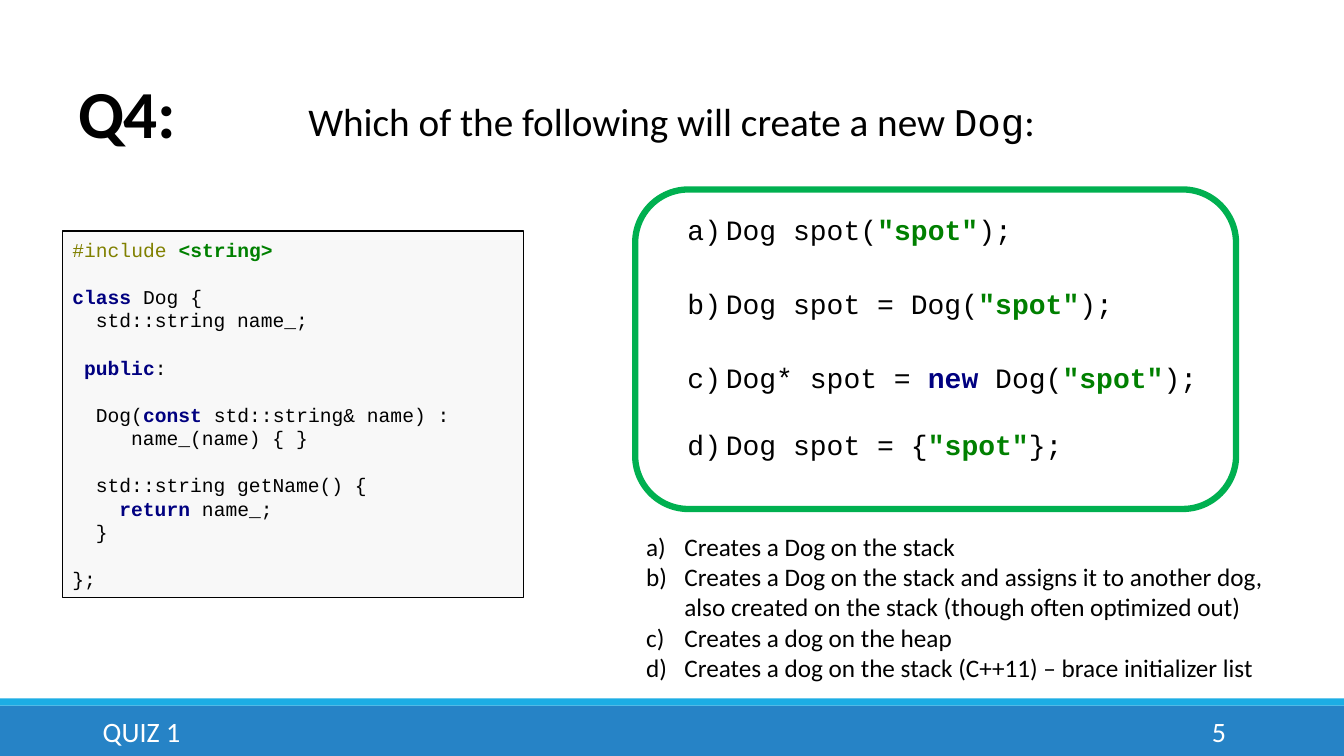
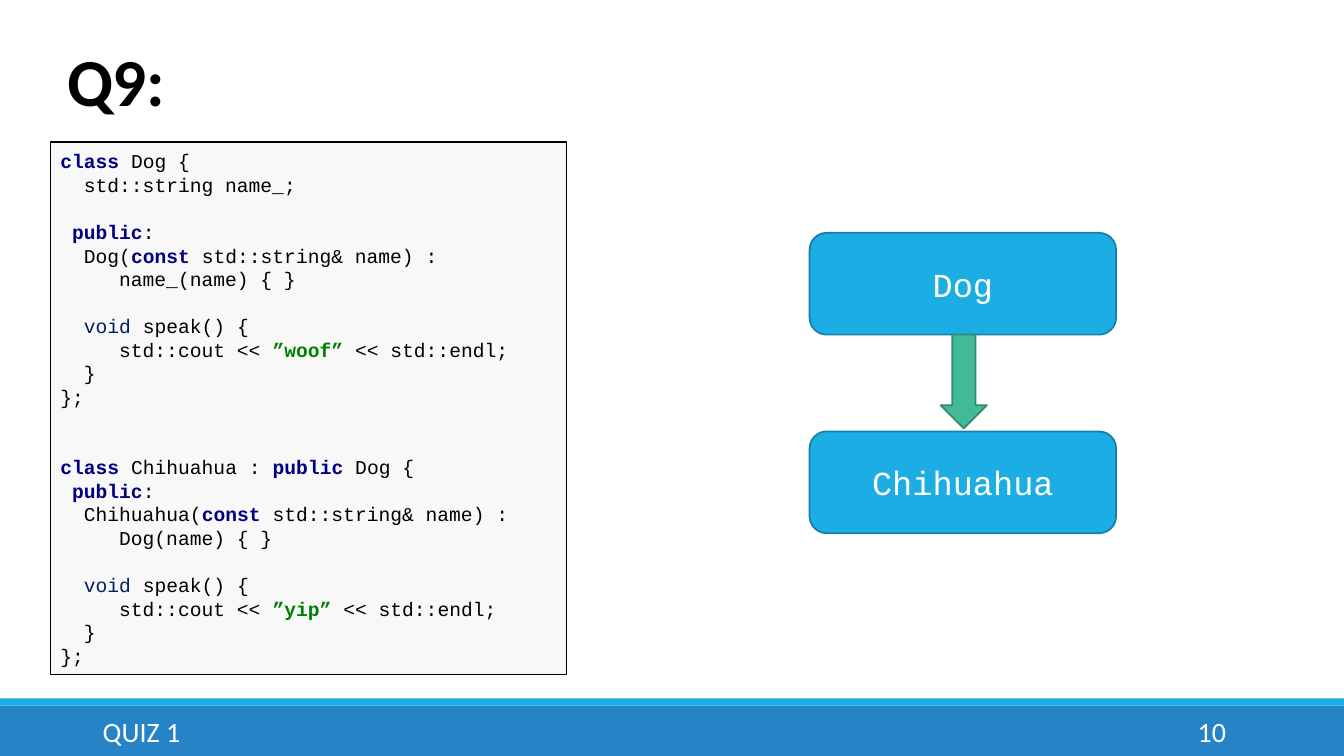
from dataclasses import dataclass

from lxml.etree import SubElement
from pptx import Presentation
from pptx.dml.color import RGBColor
from pptx.enum.shapes import MSO_SHAPE
from pptx.enum.text import MSO_ANCHOR, MSO_AUTO_SIZE, PP_ALIGN
from pptx.oxml.ns import qn
from pptx.shapes.autoshape import Shape
from pptx.slide import Slide
from pptx.util import Inches, Pt

BODY_FONT = "Calibri"
CODE_FONT = "Courier New"
BLACK, WHITE = "000000", "FFFFFF"
BLUE, DARK_BLUE, BAND_BLUE = "1CADE4", "1580A9", "2683C6"
GREEN, DARK_GREEN, FRAME_GREEN = "42BA97", "318A70", "00B050"
CODE_FILL = "F8F8F8"

CODE_SIZE = 14
LINE_FACTOR = 1.2
CHARACTER_WIDTH = 0.6  # of the font size, in the code font
LIST_INDENT = Inches(0.38)


@dataclass(frozen=True)
class Style:
    color: str = BLACK
    bold: bool = False
    font: str | None = None


PLAIN = Style()
STYLES = {
    "k": Style("000080", bold=True),  # keyword
    "s": Style("008000", bold=True),  # string
    "d": Style("808000"),  # directive
    "t": Style("002060"),  # type
    "m": Style(font=CODE_FONT),  # code word in a sentence
}


@dataclass(frozen=True)
class Place:
    left: float
    top: float
    width: float
    height: float

    def lengths(self) -> tuple:
        return tuple(map(Inches, (self.left, self.top, self.width, self.height)))


@dataclass(frozen=True)
class Answer:
    text: str
    space_before: float = 0


DOG_WITH_NAME = """\
|d#include| |s<string>|

|kclass| Dog {
  std::string name_;

 |kpublic|:

  Dog(|kconst| std::string& name) :
     name_(name) { }

  std::string getName() {
    |kreturn| name_;
  }

};"""

DOG_AND_CHIHUAHUA = """\
|kclass| Dog {
  std::string name_;

 |kpublic|:
  Dog(|kconst| std::string& name) :
     name_(name) { }

  |tvoid| speak() {
     std::cout << |s”woof”| << std::endl;
  }
};


|kclass| Chihuahua : |kpublic| Dog {
 |kpublic|:
  Chihuahua(|kconst| std::string& name) :
     Dog(name) { }

  |tvoid| speak() {
     std::cout << |s”yip”| << std::endl;
  }
};"""

CODE_ANSWERS = [
    Answer('Dog spot(|s"spot"|);'),
    Answer('Dog spot = Dog(|s"spot"|);', 28.8),
    Answer('Dog* spot = |knew| Dog(|s"spot"|);', 28.8),
    Answer('Dog spot = {|s"spot"|};', 24),
]
EXPLANATIONS = [
    Answer("Creates a Dog on the stack"),
    Answer("Creates a Dog on the stack and assigns it to another dog, "
           "also created on the stack (though often optimized out)"),
    Answer("Creates a dog on the heap"),
    Answer("Creates a dog on the stack (C++11) – brace initializer list"),
]


def rgb(color: str) -> RGBColor:
    return RGBColor.from_string(color)


def format_span(span, size: float, color: str, font: str, bold: bool = False) -> None:
    span.font.size = Pt(size)
    span.font.color.rgb = rgb(color)
    span.font.name = font
    span.font.bold = bold


def write_marked(para, text: str, size: float, font: str) -> None:
    """Write text in which |kword| gives word the style k."""
    for index, piece in enumerate(text.split("|")):
        marked = index % 2 == 1
        style = STYLES[piece[0]] if marked else PLAIN
        words = piece[1:] if marked else piece
        if words:
            span = para.add_run()
            span.text = words
            format_span(span, size, style.color, style.font or font, style.bold)


def next_paragraph(frame, index: int):
    return frame.paragraphs[0] if index == 0 else frame.add_paragraph()


def add_box(page: Slide, place: Place, kind=MSO_SHAPE.RECTANGLE, fill: str | None = None,
            line: str | None = None, line_width: float = 1) -> Shape:
    box = page.shapes.add_shape(kind, *place.lengths())
    box.shadow.inherit = False
    if fill:
        box.fill.solid()
        box.fill.fore_color.rgb = rgb(fill)
    else:
        box.fill.background()
    if line:
        box.line.color.rgb = rgb(line)
        box.line.width = Pt(line_width)
    else:
        box.line.fill.background()
    return box


def add_text_frame(page: Slide, place: Place):
    frame = page.shapes.add_textbox(*place.lengths()).text_frame
    frame.word_wrap = True
    return frame


def set_label(frame, text: str, size: float, color: str, font: str, align) -> None:
    frame.text = text
    frame.vertical_anchor = MSO_ANCHOR.MIDDLE
    para = frame.paragraphs[0]
    para.alignment = align
    format_span(para.runs[0], size, color, font)


def add_code(page: Slide, place: Place, code: str) -> None:
    """Draw a listing; empty lines become spacing, leading spaces become indents."""
    frame = add_box(page, place, fill=CODE_FILL, line=BLACK).text_frame
    frame.word_wrap = True
    frame.vertical_anchor = MSO_ANCHOR.MIDDLE
    line_height = CODE_SIZE * LINE_FACTOR
    empty_lines = written = 0
    for line in code.split("\n"):
        if not line:
            empty_lines += 1
            continue
        para = next_paragraph(frame, written)
        para.alignment = PP_ALIGN.LEFT
        para.line_spacing = Pt(line_height)
        para.space_before = Pt(empty_lines * line_height)
        words = line.lstrip()
        indent = (len(line) - len(words)) * CODE_SIZE * CHARACTER_WIDTH
        para._p.get_or_add_pPr().set("marL", str(int(Pt(indent))))
        write_marked(para, words, CODE_SIZE, CODE_FONT)
        empty_lines = 0
        written += 1


def add_lettered_list(page: Slide, place: Place, answers: list[Answer],
                      size: float, font: str) -> None:
    frame = add_text_frame(page, place)
    for index, answer in enumerate(answers):
        para = next_paragraph(frame, index)
        para.line_spacing = Pt(size * LINE_FACTOR)
        para.space_before = Pt(answer.space_before)
        properties = para._p.get_or_add_pPr()
        properties.set("marL", str(int(LIST_INDENT)))
        properties.set("indent", str(-int(LIST_INDENT)))
        SubElement(properties, qn("a:buFont")).set("typeface", font)
        SubElement(properties, qn("a:buAutoNum")).set("type", "alphaLcParenR")
        write_marked(para, answer.text, size, font)


def add_page(deck, title: str, place: Place, number: int) -> Slide:
    """Add a slide with its title, bottom bands, footer and page number."""
    page = deck.slides.add_slide(deck.slide_layouts[5])
    add_box(page, Place(0, 7, 13.33, 0.5), fill=BAND_BLUE)
    add_box(page, Place(0, 6.93, 13.33, 0.07), fill=BLUE)
    set_label(add_text_frame(page, Place(0.92, 7.06, 8.39, 0.4)),
              "QUIZ 1", 20, WHITE, BODY_FONT, PP_ALIGN.LEFT)
    set_label(add_text_frame(page, Place(10.83, 7.06, 1.43, 0.4)),
              str(number), 20, WHITE, BODY_FONT, PP_ALIGN.RIGHT)

    heading = page.shapes.title
    heading.left, heading.top, heading.width, heading.height = place.lengths()
    frame = heading.text_frame
    frame.text = title
    frame.auto_size = MSO_AUTO_SIZE.NONE
    frame.vertical_anchor = MSO_ANCHOR.BOTTOM
    para = frame.paragraphs[0]
    para.alignment = PP_ALIGN.LEFT
    para.line_spacing = 0.85
    span = para.runs[0]
    format_span(span, 48, BLACK, BODY_FONT, bold=True)
    span.font._element.set("spc", "-50")
    return page


def add_creation_question(deck) -> None:
    page = add_page(deck, "Q4:", Place(0.68, 0.71, 11, 0.85), 5)
    add_code(page, Place(0.62, 2.29, 4.57, 3.64), DOG_WITH_NAME)
    question = add_text_frame(page, Place(2.96, 0.92, 7.6, 0.57))
    write_marked(question.paragraphs[0],
                 "Which of the following will create a new |mDog|:", 28, BODY_FONT)
    add_lettered_list(page, Place(6.72, 2.06, 5.58, 3.47), CODE_ANSWERS, 20, CODE_FONT)
    add_box(page, Place(6.3, 1.88, 5.96, 3.17), MSO_SHAPE.ROUNDED_RECTANGLE,
            line=FRAME_GREEN, line_width=4.5)
    add_lettered_list(page, Place(6.31, 5.22, 6.42, 1.62), EXPLANATIONS, 18, BODY_FONT)


def add_inheritance_question(deck) -> None:
    page = add_page(deck, "Q9:", Place(0.57, 0.39, 11, 0.85), 10)
    add_code(page, Place(0.5, 1.41, 5.12, 5.28), DOG_AND_CHIHUAHUA)
    for name, top in (("Dog", 2.31), ("Chihuahua", 4.28)):
        box = add_box(page, Place(8.03, top, 3.04, 1.01), MSO_SHAPE.ROUNDED_RECTANGLE,
                      BLUE, DARK_BLUE, 1.25)
        set_label(box.text_frame, name, 24, WHITE, CODE_FONT, PP_ALIGN.CENTER)
    add_box(page, Place(9.33, 3.32, 0.46, 0.93), MSO_SHAPE.DOWN_ARROW,
            GREEN, DARK_GREEN, 1.25)


def main() -> None:
    deck = Presentation()
    deck.slide_width = Inches(13.33)
    deck.slide_height = Inches(7.5)
    add_creation_question(deck)
    add_inheritance_question(deck)
    deck.save("out.pptx")


if __name__ == "__main__":
    main()
